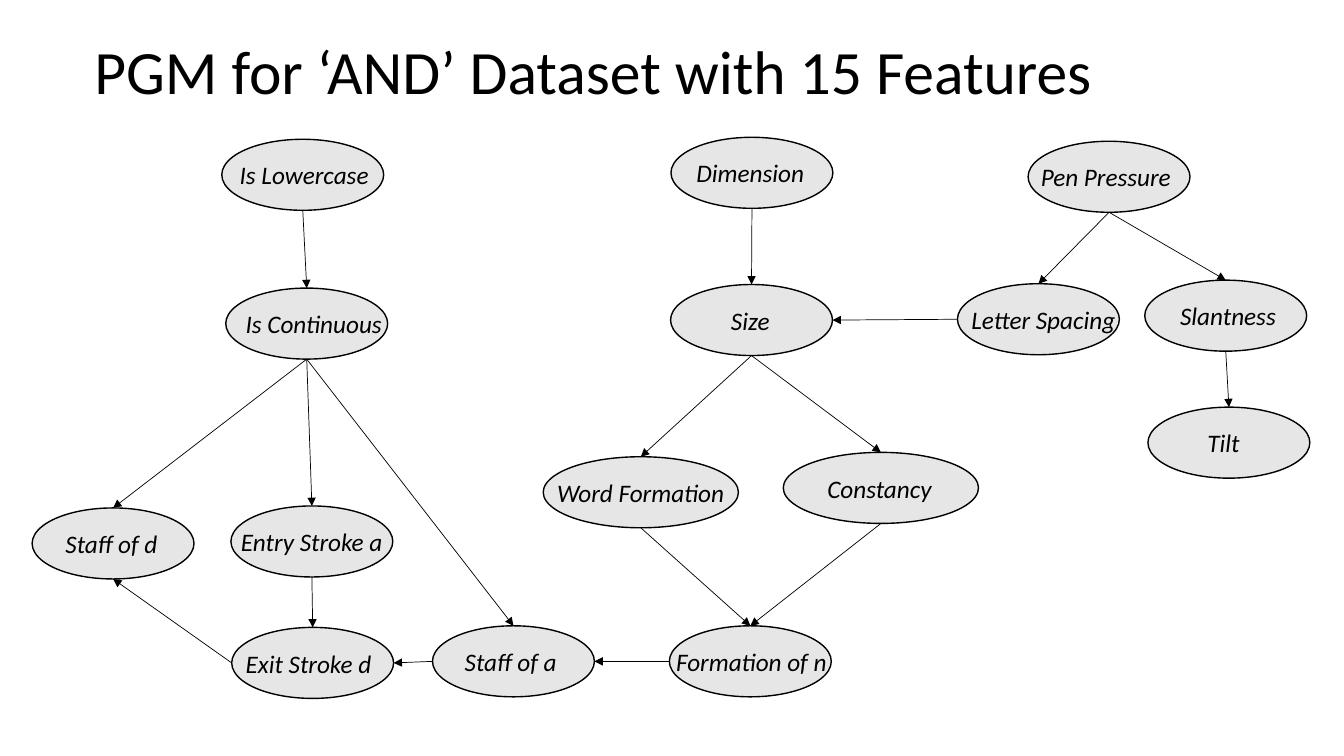
from lxml.etree import SubElement
from pptx import Presentation
from pptx.dml.color import RGBColor
from pptx.enum.shapes import MSO_CONNECTOR, MSO_SHAPE
from pptx.enum.text import MSO_ANCHOR, MSO_AUTO_SIZE
from pptx.oxml.ns import qn
from pptx.util import Cm, Pt

BLACK = RGBColor(0x00, 0x00, 0x00)
LIGHT_GRAY = RGBColor(0xE7, 0xE6, 0xE6)

NODE_HEIGHT = 1.79
NARROW, WIDE = 4.08, 4.92
LABEL_DROP, LABEL_HEIGHT = 0.39, 1.02

# Feature: left, top, width of the ellipse; indent, width of its label (cm)
FEATURES = {
    "Pen Pressure": (25.91, 3.56, NARROW, 0.07, 3.86),
    "Letter Spacing": (24.13, 7.15, NARROW, 0.1, 4.19),
    "Size": (16.9, 7.17, NARROW, 1.27, 1.52),
    "Dimension": (16.91, 3.46, NARROW, 0.39, 3.25),
    "Slantness": (28.85, 7.06, NARROW, 0.64, 2.95),
    "Is Lowercase": (5.59, 3.51, NARROW, 0.2, 3.81),
    "Is Continuous": (5.69, 7.26, NARROW, 0.25, 3.99),
    "Tilt": (28.93, 10.26, NARROW, 1.25, 1.32),
    "Entry Stroke a": (5.82, 12.75, NARROW, 0, 4.11),
    "Staff of d": (0.81, 12.8, NARROW, 0.59, 2.87),
    "Formation of n": (16.87, 15.77, NARROW, -0.08, 4.34),
    "Staff of a": (10.9, 15.77, NARROW, 0.56, 2.87),
    "Exit Stroke d": (5.84, 15.81, NARROW, 0.1, 3.71),
    "Word Formation": (13.69, 11.51, WIDE, 0.1, 4.78),
    "Constancy": (19.74, 11.4, WIDE, 0.86, 3.18),
}

# Sides of an ellipse as shares of its width and height
TOP, BOTTOM, LEFT, RIGHT = (0.5, 0), (0.5, 1), (0, 0.5), (1, 0.5)

DEPENDENCIES = [
    ("Pen Pressure", BOTTOM, "Letter Spacing", TOP),
    ("Pen Pressure", BOTTOM, "Slantness", TOP),
    ("Dimension", BOTTOM, "Size", TOP),
    ("Size", BOTTOM, "Constancy", TOP),
    ("Size", BOTTOM, "Word Formation", TOP),
    ("Is Continuous", BOTTOM, "Entry Stroke a", TOP),
    ("Is Continuous", BOTTOM, "Staff of d", TOP),
    ("Is Continuous", BOTTOM, "Staff of a", TOP),
    ("Is Lowercase", BOTTOM, "Is Continuous", TOP),
    ("Slantness", BOTTOM, "Tilt", TOP),
    ("Word Formation", BOTTOM, "Formation of n", TOP),
    ("Constancy", BOTTOM, "Formation of n", TOP),
    ("Entry Stroke a", BOTTOM, "Exit Stroke d", TOP),
    ("Formation of n", LEFT, "Staff of a", RIGHT),
    ("Letter Spacing", LEFT, "Size", RIGHT),
    ("Staff of a", LEFT, "Exit Stroke d", RIGHT),
    ("Exit Stroke d", LEFT, "Staff of d", BOTTOM),
]

TITLE_FORMAT = {"name": "Calibri", "size": Pt(44)}
LABEL_FORMAT = {"name": "Calibri", "size": Pt(18), "italic": True}


def add_text(text, left, top, width, height, font_format):
    box = slide.shapes.add_textbox(Cm(left), Cm(top), Cm(width), Cm(height))
    paragraph = box.text_frame.paragraphs[0]
    paragraph.text = text
    font = paragraph.runs[0].font
    font.color.rgb = BLACK
    for attribute, value in font_format.items():
        setattr(font, attribute, value)
    return box.text_frame


def side_point(feature, side):
    left, top, width = FEATURES[feature][:3]
    return Cm(left + side[0] * width), Cm(top + side[1] * NODE_HEIGHT)


presentation = Presentation()
presentation.slide_width = Cm(33.87)
presentation.slide_height = Cm(19.05)
slide = presentation.slides.add_slide(presentation.slide_layouts[6])

title = add_text("PGM for ‘AND’ Dataset with 15 Features",
                 2.13, 0.03, 29.21, 3.68, TITLE_FORMAT)
title.word_wrap = True
title.vertical_anchor = MSO_ANCHOR.MIDDLE
title.paragraphs[0].line_spacing = 0.9

for feature, (left, top, width, indent, label_width) in FEATURES.items():
    node = slide.shapes.add_shape(
        MSO_SHAPE.OVAL, Cm(left), Cm(top), Cm(width), Cm(NODE_HEIGHT))
    node.shadow.inherit = False
    node.fill.solid()
    node.fill.fore_color.rgb = LIGHT_GRAY
    node.line.color.rgb = BLACK
    node.line.width = Pt(1)
    label = add_text(feature, left + indent, top + LABEL_DROP,
                     label_width, LABEL_HEIGHT, LABEL_FORMAT)
    label.word_wrap = False
    label.auto_size = MSO_AUTO_SIZE.SHAPE_TO_FIT_TEXT

for cause, cause_side, effect, effect_side in DEPENDENCIES:
    arrow = slide.shapes.add_connector(
        MSO_CONNECTOR.STRAIGHT,
        *side_point(cause, cause_side), *side_point(effect, effect_side))
    arrow.line.color.rgb = BLACK
    arrow.line.width = Pt(0.5)
    SubElement(arrow.line._get_or_add_ln(), qn("a:tailEnd"), type="triangle")
    SubElement(arrow._element.spPr, qn("a:effectLst"))

presentation.save("out.pptx")
